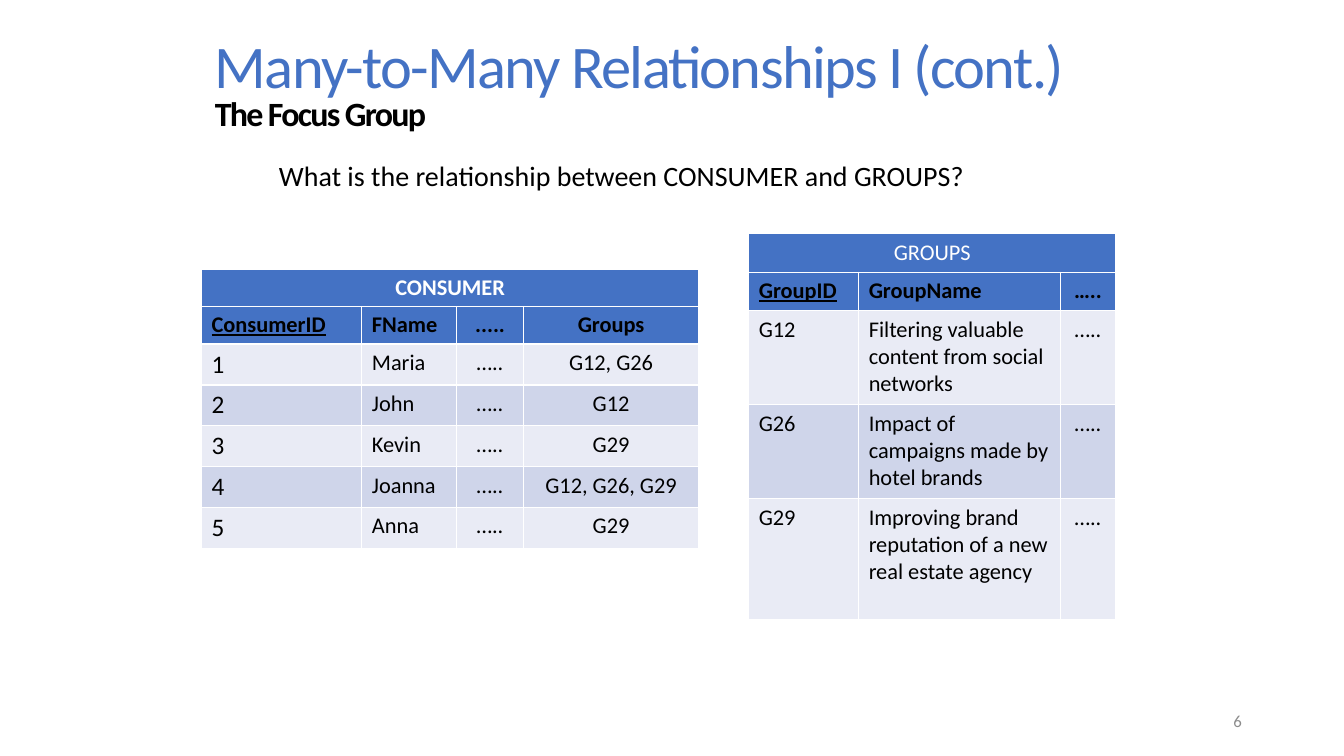
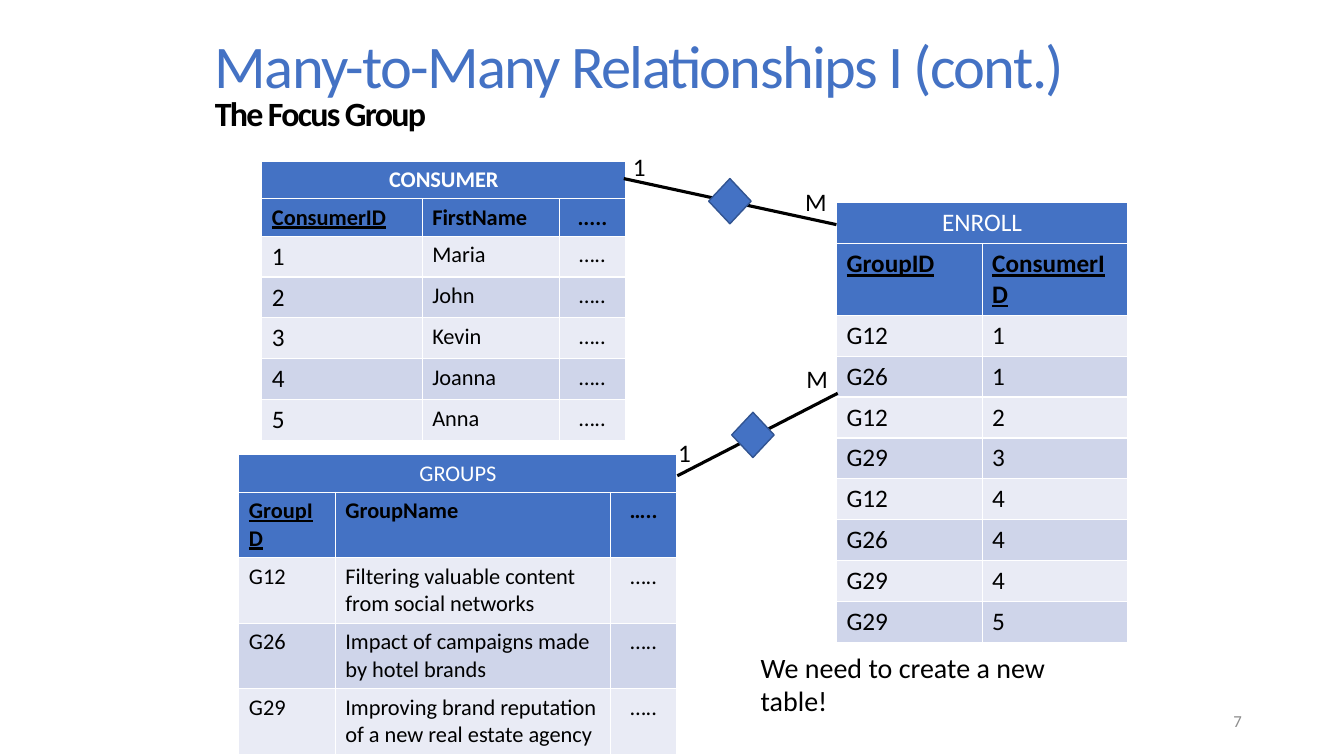
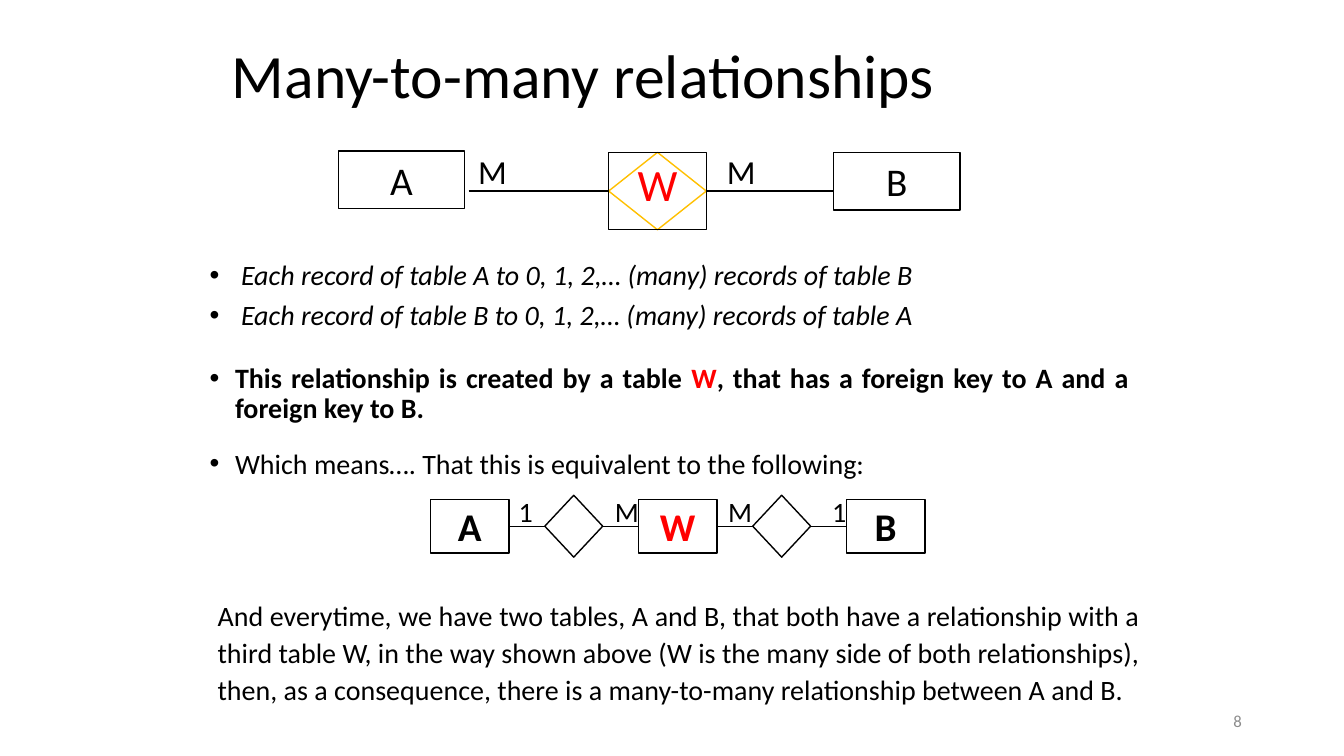
from lxml import etree
from pptx import Presentation
from pptx.dml.color import RGBColor
from pptx.enum import shapes, text
from pptx.oxml import ns
from pptx.util import Cm, Pt

BLACK = RGBColor(0x00, 0x00, 0x00)
WHITE = RGBColor(0xFF, 0xFF, 0xFF)
BLUE = RGBColor(0x44, 0x72, 0xC4)
DARK_BLUE = RGBColor(0x32, 0x54, 0x91)
LIGHT_BAND = RGBColor(0xE9, 0xEB, 0xF5)
DARK_BAND = RGBColor(0xCF, 0xD5, 0xEA)
RED = RGBColor(0xFF, 0x00, 0x00)
GOLD = RGBColor(0xFF, 0xC0, 0x00)
GRAY = RGBColor(0x8C, 0x8C, 0x8C)

FONT = "Calibri"
LEFT, CENTER, RIGHT, JUSTIFY = (text.PP_ALIGN.LEFT, text.PP_ALIGN.CENTER,
                                text.PP_ALIGN.RIGHT, text.PP_ALIGN.JUSTIFY)
TOP, MIDDLE = text.MSO_ANCHOR.TOP, text.MSO_ANCHOR.MIDDLE
RECTANGLE = shapes.MSO_SHAPE.RECTANGLE
DIAMOND = shapes.MSO_SHAPE.DIAMOND

DOTS = "….."
GROUP_ROWS = [
    ["GroupID", "GroupName", DOTS],
    ["G12", "Filtering valuable content from social networks", DOTS],
    ["G26", "Impact of campaigns made by hotel brands", DOTS],
    ["G29", "Improving brand reputation of a new real estate agency", DOTS],
]
CONSUMERS = ["Maria", "John", "Kevin", "Joanna", "Anna"]
CONSUMER_GROUPS = ["G12, G26", "G12", "G29", "G12, G26, G29", "G29"]
ENROLLMENTS = [("G12", 1), ("G26", 1), ("G12", 2), ("G29", 3),
               ("G12", 4), ("G26", 4), ("G29", 4), ("G29", 5)]


def set_attributes(target, values):
    for name, value in values.items():
        setattr(target, name, value)


def add_run(paragraph, words, size, color=BLACK, **formats):
    run = paragraph.add_run()
    run.text = words
    set_attributes(run.font, {"name": FONT, "size": Pt(size), **formats})
    run.font.color.rgb = color
    return run


def place(shape, box):
    lengths = (Cm(value) for value in box)
    set_attributes(shape, dict(zip(("left", "top", "width", "height"), lengths)))


def set_frame(shape, anchor, inset=None):
    """Fix wrapping, anchor and, if given, equal insets in cm."""
    frame = shape.text_frame
    set_attributes(frame, {"word_wrap": True, "vertical_anchor": anchor,
                           "auto_size": text.MSO_AUTO_SIZE.NONE})
    if inset is not None:
        sides = ("left", "top", "right", "bottom")
        set_attributes(frame, {f"margin_{side}": Cm(inset) for side in sides})
    return frame


def add_text(slide, box, words, size, color=BLACK, align=LEFT, anchor=TOP):
    frame = set_frame(slide.shapes.add_textbox(*map(Cm, box)), anchor)
    frame.paragraphs[0].alignment = align
    add_run(frame.paragraphs[0], words, size, color)


def add_label(slide, x, y, words, size):
    """Short text centred on the point x, y."""
    add_text(slide, (x - 0.6, y - 0.6, 1.2, 1.2), words, size,
             align=CENTER, anchor=MIDDLE)


def add_box(slide, kind, box, fill=WHITE, line=BLACK, words="", size=28,
            color=BLACK, bold=False, anchor=MIDDLE):
    shape = slide.shapes.add_shape(kind, *map(Cm, box))
    shape.shadow.inherit = False
    if fill is None:
        shape.fill.background()
    else:
        shape.fill.solid()
        shape.fill.fore_color.rgb = fill
    shape.line.color.rgb = line
    shape.line.width = Pt(1)
    if words:
        frame = set_frame(shape, anchor, 0.1 if anchor == TOP else 0)
        frame.paragraphs[0].alignment = CENTER
        add_run(frame.paragraphs[0], words, size, color, bold=bold)
    return shape


def add_line(slide, start=(0, 0), end=(0, 0), width=1):
    connector = slide.shapes.add_connector(
        shapes.MSO_CONNECTOR.STRAIGHT, *map(Cm, (*start, *end)))
    connector.line.color.rgb = BLACK
    connector.line.width = Pt(width)
    etree.SubElement(connector._element.spPr, ns.qn("a:effectLst"))
    return connector


def fill_cell(cell, words, fill, size, color=BLACK, align=LEFT, **formats):
    cell.fill.solid()
    cell.fill.fore_color.rgb = fill
    paragraph = cell.text_frame.paragraphs[0]
    paragraph.alignment = align
    add_run(paragraph, words, size, color, **formats)


def add_entity(slide, position, name, rows, widths, heights, size=16,
               bold_name=False, centered=()):
    """Table with a merged name row, a row of fields and banded records."""
    frame = slide.shapes.add_table(
        len(rows) + 1, len(widths), *map(Cm, (*position, sum(widths), sum(heights))))
    table = frame.table
    for column, width in zip(table.columns, widths):
        column.width = Cm(width)
    for row, height in zip(table.rows, heights):
        row.height = Cm(height)
    table.cell(0, 0).merge(table.cell(0, len(widths) - 1))
    fill_cell(table.cell(0, 0), name, BLUE, size, WHITE, CENTER, bold=bold_name)
    for i, row in enumerate(rows, 1):
        is_header = i == 1
        band = BLUE if is_header else (DARK_BAND, LIGHT_BAND)[i % 2 == 0]
        for j, words in enumerate(row):
            fill_cell(table.cell(i, j), words, band,
                      18 if words.isdigit() else size,
                      align=CENTER if j in centered else LEFT,
                      bold=is_header, underline=words.endswith("ID"))


def add_slide(presentation, layout, number):
    slide = presentation.slides.add_slide(presentation.slide_layouts[layout])
    add_text(slide, (23.93, 17.65, 7.62, 1.02), str(number), 12, GRAY, RIGHT, MIDDLE)
    return slide


def start_title(slide, box, line_spacing):
    """Place the title and return its paragraph, ready for runs."""
    title = slide.shapes.title
    place(title, box)
    paragraph = set_frame(title, MIDDLE).paragraphs[0]
    set_attributes(paragraph, {"alignment": LEFT, "line_spacing": line_spacing})
    return paragraph


def add_focus_slide(presentation, number):
    slide = add_slide(presentation, 5, number)
    paragraph = start_title(slide, (5.16, 0.81, 23.85, 2.79), 0.8)
    heading = add_run(paragraph, "Many-to-Many Relationships I (cont.)", 43.2, BLUE)
    paragraph.add_line_break()
    subtitle = add_run(paragraph, "The Focus Group", 24.3, bold=True)
    for run in (heading, subtitle):
        run.font._element.set("spc", "-120")
    return slide


def consumer_rows(first_name, groups=None):
    header = ["ConsumerID", first_name, "....."]
    rows = [[str(i), name, DOTS] for i, name in enumerate(CONSUMERS, 1)]
    if groups:
        header.append("Groups")
        rows = [row + [group] for row, group in zip(rows, groups)]
    return [header] + rows


def build_question(presentation):
    slide = add_focus_slide(presentation, 6)
    add_entity(slide, (5.08, 6.78), "CONSUMER",
               consumer_rows("FName", CONSUMER_GROUPS),
               (4.04, 2.39, 1.68, 4.42), [0.94] * 2 + [1.03] * 5,
               bold_name=True, centered=(2, 3))
    add_entity(slide, (18.87, 5.89), "GROUPS", GROUP_ROWS, (2.77, 5.08, 1.4),
               (0.97, 0.97, 2.37, 2.37, 3.04), centered=(2,))
    add_text(slide, (6.78, 3.86, 20.57, 1.12),
             "What is the relationship between CONSUMER and GROUPS?", 20)


def build_enrollment(presentation):
    slide = add_focus_slide(presentation, 7)
    rows = [["GroupID", "ConsumerID"]]
    rows += [[group, str(consumer)] for group, consumer in ENROLLMENTS]
    add_entity(slide, (21.08, 5.11), "ENROLL", rows, (3.67, 3.67),
               [1.03] * 10, size=18)
    add_entity(slide, (6.6, 4.06), "CONSUMER", consumer_rows("FirstName"),
               (4.04, 3.45, 1.68), [0.94] * 2 + [1.03] * 5,
               bold_name=True, centered=(2,))
    add_entity(slide, (6.02, 11.46), "GROUPS", GROUP_ROWS, (2.43, 6.93, 1.68),
               [0.92] + [1.65] * 4, centered=(2,))
    add_line(slide, (17.07, 11.99), (21.11, 9.91), 2.25)
    add_line(slide, (15.72, 4.5), (21.08, 5.66), 2.25)
    for left, top in ((17.86, 4.5), (18.44, 10.39)):
        add_box(slide, DIAMOND, (left, top, 1.07, 1.14), BLUE, DARK_BLUE)
    for left, top, words in ((15.7, 3.68, "1"), (20.04, 4.57, "M"),
                             (16.84, 10.9, "1"), (20.07, 9.04, "M")):
        add_text(slide, (left, top, 1.04, 1.02), words, 18)
    add_text(slide, (18.92, 16.26, 9.47, 1.96), "We need to create a new table!", 20)


def add_direct_diagram(slide):
    for left, top, words in ((8.53, 3.81, "A"), (21.01, 3.84, "B")):
        add_box(slide, RECTANGLE, (left, top, 3.18, 1.45), words=words)
    add_line(slide, (11.81, 4.81), (21.01, 4.81))
    junction = (15.34, 3.84, 2.46, 1.95)
    add_box(slide, DIAMOND, junction, line=GOLD)
    for x in (12.4, 18.67):
        add_label(slide, x, 4.31, "M", 24)
    add_box(slide, RECTANGLE, junction, fill=None, words="W", size=32,
            color=RED, anchor=TOP)


def add_equivalent_diagram(slide):
    """Chain A, diamond, W, diamond, B at an equal pitch, joined by lines."""
    middle, pitch, first = 13.26, 2.62, 11.84
    nodes = []
    for i, words in enumerate(("A", "", "W", "", "B")):
        kind, width, height = (RECTANGLE, 1.98, 1.36) if words else (DIAMOND, 1.46, 1.56)
        box = (first + i * pitch - width / 2, middle - height / 2, width, height)
        nodes.append(add_box(slide, kind, box, words=words, bold=True,
                             color=RED if words == "W" else BLACK))
    for before, after in zip(nodes, nodes[1:]):
        connector = add_line(slide, width=0.5)
        connector.begin_connect(before, 3)
        connector.end_connect(after, 1)
    for x, words in ((13.25, "1"), (15.8, "M"), (18.65, "M"), (21.15, "1")):
        add_label(slide, x, 12.88, words, 20)


def add_body_paragraph(paragraph, runs, line_spacing, before=0, hanging=0):
    """Justified paragraph; a hanging indent (cm) keeps the bullet."""
    properties = paragraph._p.get_or_add_pPr()
    properties.set("marL", str(Cm(hanging)))
    properties.set("indent", str(-Cm(hanging)))
    if not hanging:
        etree.SubElement(properties, ns.qn("a:buNone"))
    set_attributes(paragraph, {"alignment": JUSTIFY, "line_spacing": line_spacing,
                               "space_before": Pt(before), "space_after": Pt(2)})
    for words, formats in runs:
        add_run(paragraph, words, 20, **formats)


def build_summary(presentation):
    slide = add_slide(presentation, 3, 8)
    paragraph = start_title(slide, (5.59, 0.86, 22.45, 2.26), 0.9)
    add_run(paragraph, "Many-to-many relationships", 44)

    bullets, closing = list(slide.placeholders)[1:3]
    place(bullets, (5.03, 6.45, 23.67, 6.17))
    frame = set_frame(bullets, TOP)
    items = [
        (0, 0.79, [("Each record of table A to 0, 1, 2,… (many) records of table B",
                    {"italic": True})]),
        (5, 0.79, [("Each record of table B to 0, 1, 2,… (many) records of table A",
                    {"italic": True})]),
        (21.5, 0.64, [("This relationship is created by a table ", {"bold": True}),
                      ("W", {"bold": True, "color": RED}),
                      (", that has a foreign key to A and a foreign key to B.",
                       {"bold": True})]),
        (16, 0.64, [("Which means…. That this is equivalent to the following:", {})]),
    ]
    for i, (before, hanging, runs) in enumerate(items):
        paragraph = frame.add_paragraph() if i else frame.paragraphs[0]
        add_body_paragraph(paragraph, runs, 0.9, before, hanging)

    add_direct_diagram(slide)
    add_equivalent_diagram(slide)

    place(closing, (5.23, 14.86, 23.75, 2.77))
    add_body_paragraph(set_frame(closing, TOP).paragraphs[0], [(
        "And everytime, we have two tables, A and B, that both have a relationship "
        "with a third table W, in the way shown above (W is the many side of both "
        "relationships), then, as a consequence, there is a many-to-many "
        "relationship between A and B.", {})], 1.1)


def main():
    presentation = Presentation()
    presentation.slide_width = Cm(33.87)
    presentation.slide_height = Cm(19.05)
    build_question(presentation)
    build_enrollment(presentation)
    build_summary(presentation)
    presentation.save("out.pptx")


if __name__ == "__main__":
    main()
